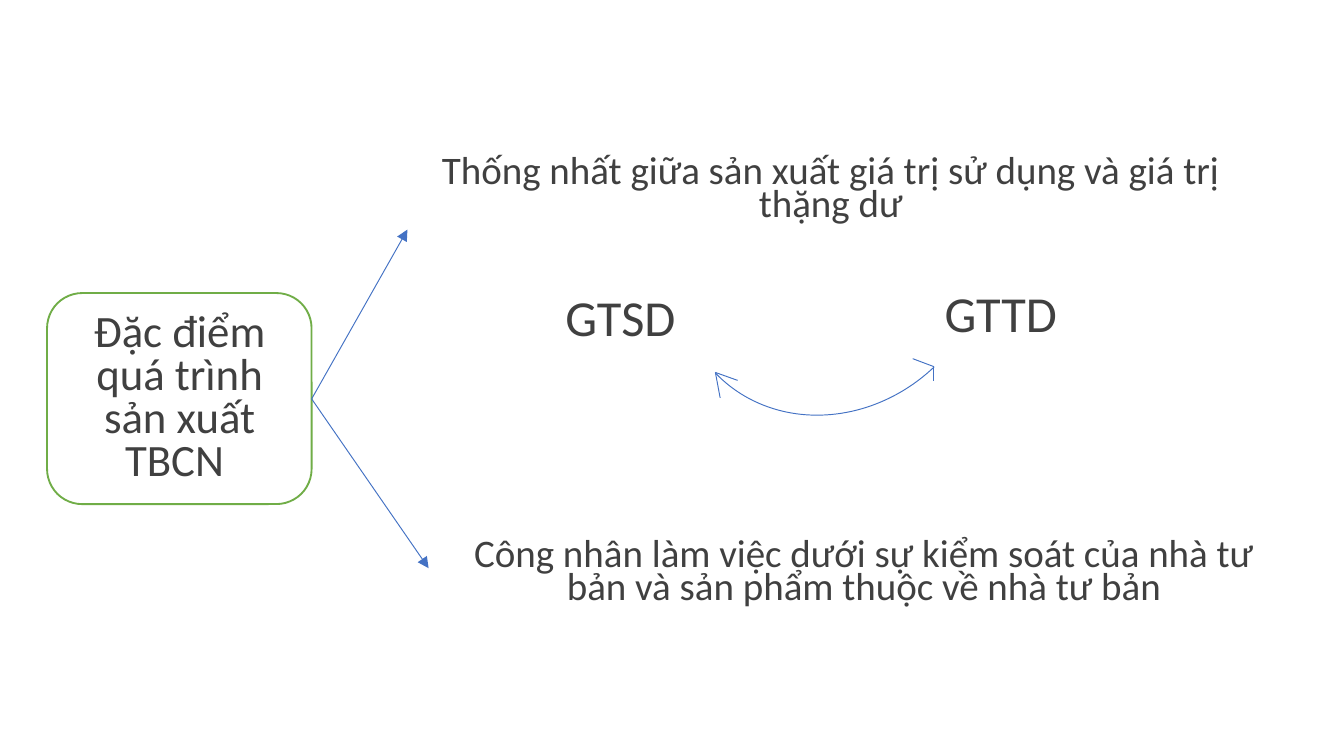
from lxml import etree
from pptx import Presentation
from pptx.dml.color import RGBColor
from pptx.enum.shapes import MSO_CONNECTOR, MSO_SHAPE
from pptx.enum.text import MSO_ANCHOR, PP_ALIGN
from pptx.oxml.ns import qn
from pptx.util import Cm, Pt

BLUE, GREEN, GRAY, WHITE = "4472C4", "70AD47", "404040", "FFFFFF"

presentation = Presentation()
presentation.slide_width, presentation.slide_height = Cm(25.4), Cm(14.29)
slide = presentation.slides.add_slide(presentation.slide_layouts[6])


def add_text(text, left, top, width, height, size=20.9, spacing=0.7):
    box = slide.shapes.add_textbox(Cm(left), Cm(top), Cm(width), Cm(height))
    frame = box.text_frame
    frame.word_wrap = True
    frame.vertical_anchor = MSO_ANCHOR.MIDDLE
    paragraph = frame.paragraphs[0]
    paragraph.alignment = PP_ALIGN.CENTER
    paragraph.line_spacing = spacing
    run = paragraph.add_run()
    run.text = text
    run.font.name = "Calibri"
    run.font.size = Pt(size)
    run.font.color.rgb = RGBColor.from_string(GRAY)


def add_line(start, end, arrow=False):
    connector = slide.shapes.add_connector(
        MSO_CONNECTOR.STRAIGHT, *(Cm(value) for value in (*start, *end)))
    connector.line.color.rgb = RGBColor.from_string(BLUE)
    connector.line.width = Pt(0.5)
    properties = connector._element.spPr
    if arrow:
        outline = properties.find(qn("a:ln"))
        etree.SubElement(outline, qn("a:tailEnd"), type="triangle")
    etree.SubElement(properties, qn("a:effectLst"))


# First feature
add_text("Thống nhất giữa sản xuất giá trị sử dụng và giá trị thặng dư",
         7.7, 2.82, 16, 1.6)

# Main topic
topic = slide.shapes.add_shape(
    MSO_SHAPE.ROUNDED_RECTANGLE, Cm(0.89), Cm(5.54), Cm(5), Cm(3.99))
topic.shadow.inherit = False
topic.fill.solid()
topic.fill.fore_color.rgb = RGBColor.from_string(WHITE)
topic.line.color.rgb = RGBColor.from_string(GREEN)
topic.line.width = Pt(1)
add_text("Đặc điểm quá trình sản xuất TBCN ", 1.4, 5.64, 3.99, 3.81,
         size=24, spacing=0.8)

# Arrows from the topic to its two features
for target in ((7.7, 4.34), (8.1, 10.74)):
    add_line((5.89, 7.54), target, arrow=True)

# Curved double arrow with open heads
arc = slide.shapes.add_shape(
    MSO_SHAPE.ARC, Cm(12.67), Cm(2.16), Cm(6.15), Cm(5.54))
arc.rotation = 136.4
arc.shadow.inherit = False
arc.fill.background()
arc.line.color.rgb = RGBColor.from_string(BLUE)
arc.line.width = Pt(0.5)
for tip, barbs in (((17.65, 6.93), ((17.25, 6.78), (17.65, 7.21))),
                   ((13.52, 7.04), ((13.94, 7.19), (13.61, 7.52)))):
    for barb in barbs:
        add_line(tip, barb)

# The two kinds of value
for label, left, top in (("GTSD", 10.39, 5.26), ("GTTD", 17.58, 5.18)):
    add_text(label, left, top, 2.67, 1.6, size=27, spacing=0.9)

# Second feature
add_text("Công nhân làm việc dưới sự kiểm soát của nhà tư bản "
         "và sản phẩm thuộc về nhà tư bản", 8.33, 10.06, 16, 1.6)

presentation.save("out.pptx")
